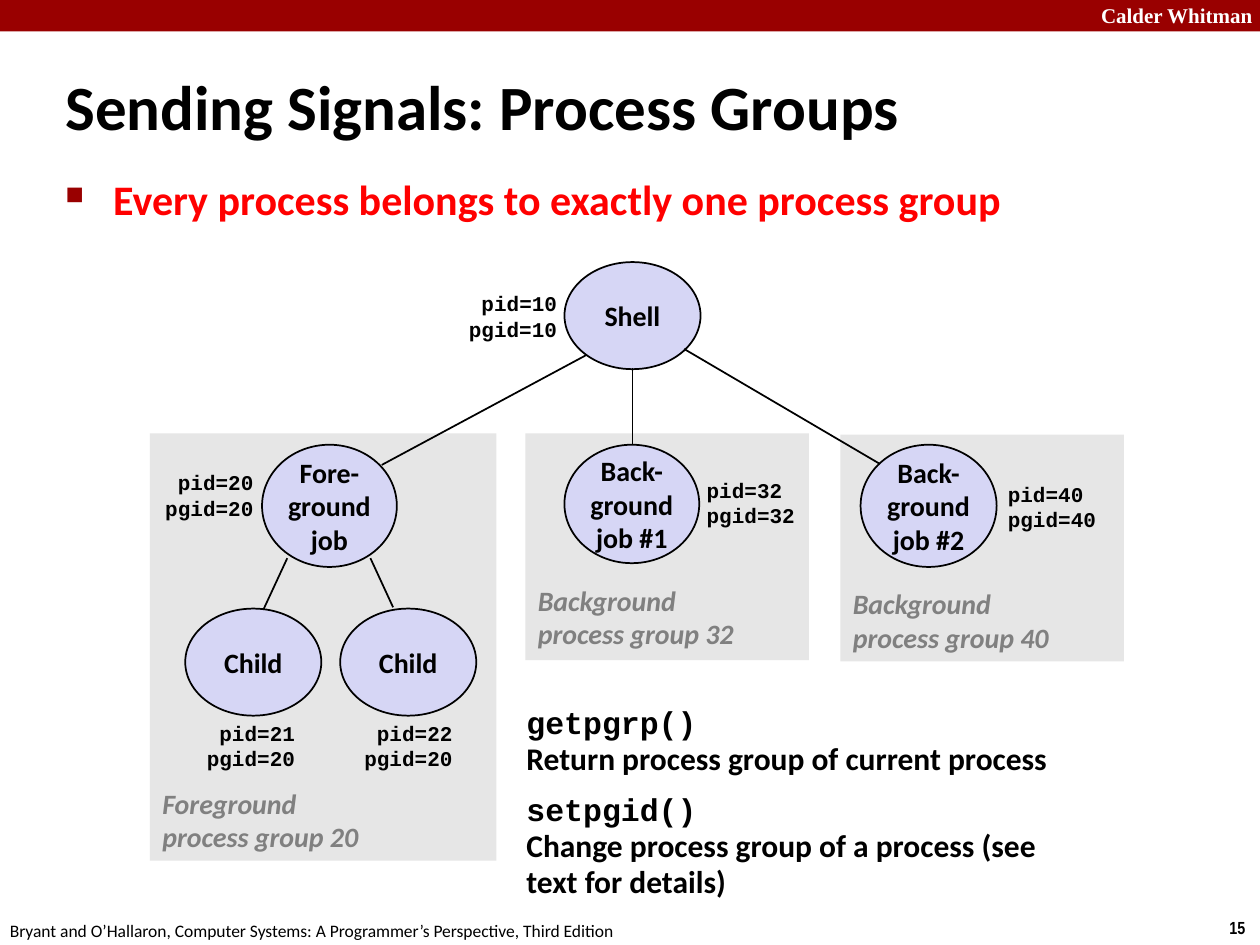
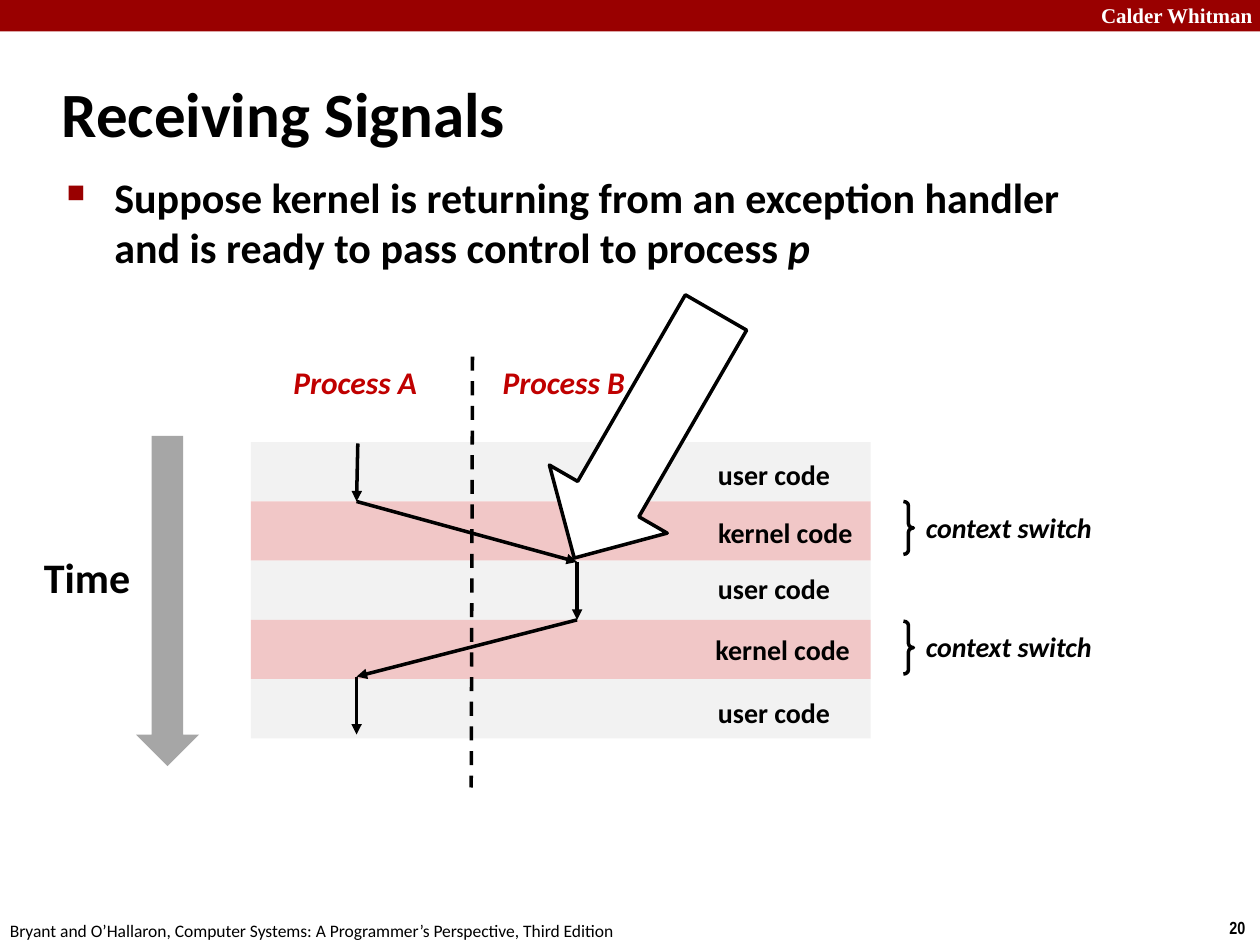
import pptx
import pptx.util
import pptx.dml.color
import pptx.enum.dml
import pptx.enum.shapes
import pptx.enum.text
import pptx.oxml
import pptx.oxml.ns

Inches = pptx.util.Inches
Pt = pptx.util.Pt
SHAPE = pptx.enum.shapes.MSO_SHAPE
ALIGN = pptx.enum.text.PP_ALIGN
MIDDLE = pptx.enum.text.MSO_ANCHOR.MIDDLE
rgb = pptx.dml.color.RGBColor.from_string
BLACK, WHITE, CRIMSON, RED = "000000", "FFFFFF", "990000", "FF0000"
GROUP_GRAY, LABEL_GRAY, LAVENDER = "E6E6E6", "808080", "D6D6F5"
USER_GRAY, KERNEL_PINK, TIME_GRAY, PROCESS_RED = "F2F2F2", "F1C7C7", "A6A6A6", "C00000"


def draw(slide, kind, box, fill=None, outline=None):
    left, top, width, height = [Inches(value) for value in box]
    if kind is None:
        return slide.shapes.add_textbox(left, top, width, height)
    shape = slide.shapes.add_shape(kind, left, top, width, height)
    shape.shadow.inherit = False
    if fill:
        shape.fill.solid()
        shape.fill.fore_color.rgb = rgb(fill)
    else:
        shape.fill.background()
    if outline:
        shape.line.color.rgb = rgb(BLACK)
        shape.line.width = Pt(outline)
    else:
        shape.line.fill.background()
    return shape


def add_lines(frame, lines, size, color=BLACK, font="Calibri", bold=True, italic=False, align=ALIGN.LEFT):
    for number, line in enumerate(lines):
        paragraph = frame.add_paragraph() if number else frame.paragraphs[0]
        paragraph.alignment = align
        run = paragraph.add_run()
        run.text = line
        run.font.size = Pt(size)
        run.font.name = font
        run.font.bold = bold
        run.font.italic = italic
        run.font.color.rgb = rgb(color)
    return paragraph


deck = pptx.Presentation()
deck.slide_width = Inches(10)
deck.slide_height = Inches(7.5)

pages = [
    ("15", "Sending Signals: Process Groups", (0.42, 0.42, 8.3, 0.83),
     "Every process belongs to exactly one process group", (0.42, 1.33, 8.44, 0.67), RED),
    ("20", "Receiving Signals", (0.39, 0.48, 8.3, 0.83),
     "Suppose kernel is returning from an exception handler and is ready to pass control to process ",
     (0.43, 1.31, 8.64, 1.19), BLACK),
]
statements = []
for page_number, heading, heading_box, statement, statement_box, statement_color in pages:
    slide = deck.slides.add_slide(deck.slide_layouts[6])
    draw(slide, SHAPE.RECTANGLE, (0, 0, 10, 0.25), CRIMSON)
    school = draw(slide, None, (8.64, -0.03, 1.43, 0.3))
    add_lines(school.text_frame, ["Calder Whitman"], 12, WHITE, "Times New Roman")
    folio = draw(slide, None, (9.66, 7.23, 0.34, 0.27))
    add_lines(folio.text_frame, [page_number], 10, font="Arial Narrow")
    credit = draw(slide, None, (-0.02, 7.25, 5.08, 0.27))
    add_lines(credit.text_frame,
              ["Bryant and O’Hallaron, Computer Systems: A Programmer’s Perspective, Third Edition"],
              10, bold=False)
    title = draw(slide, None, heading_box).text_frame
    title.word_wrap = True
    title.vertical_anchor = MIDDLE
    add_lines(title, [heading], 36)
    body = draw(slide, None, statement_box).text_frame
    body.word_wrap = True
    bullet = add_lines(body, [statement], 24, statement_color)
    bullet.space_before = Pt(2)
    properties = bullet._p.get_or_add_pPr()
    properties.set("marL", str(Inches(0.38)))
    properties.set("indent", str(-Inches(0.38)))
    namespace = pptx.oxml.ns.nsdecls("a")
    for mark in (f'<a:buClr {namespace}><a:srgbClr val="{CRIMSON}"/></a:buClr>',
                 f'<a:buSzPct {namespace} val="60000"/>',
                 f'<a:buChar {namespace} char="■"/>'):
        properties.append(pptx.oxml.parse_xml(mark))
    statements.append(bullet)

process_variable = statements[1].add_run()
process_variable.text = "p"
process_variable.font.size = Pt(24)
process_variable.font.name = "Calibri"
process_variable.font.bold = True
process_variable.font.italic = True
process_variable.font.color.rgb = rgb(BLACK)

groups_slide, signals_slide = deck.slides

for group_box in ((6.67, 3.45, 2.25, 1.8), (4.17, 3.44, 2.25, 1.8), (1.19, 3.44, 2.75, 3.39)):
    draw(groups_slide, SHAPE.RECTANGLE, group_box, GROUP_GRAY)

processes = [
    (["Fore-", "ground", "job"], (2.08, 3.53, 1.07, 0.97)),
    (["Back-", "ground", "job #1"], (4.48, 3.53, 1.07, 0.94)),
    (["Back-", "ground", "job #2"], (6.83, 3.53, 1.08, 0.97)),
    (["Shell"], (4.48, 2.08, 1.08, 0.85)),
    (["Child"], (1.47, 4.83, 1.08, 0.85)),
    (["Child"], (2.7, 4.83, 1.08, 0.85)),
]
for process_name, process_box in processes:
    process = draw(groups_slide, SHAPE.OVAL, process_box, LAVENDER, 1).text_frame
    process.word_wrap = False
    process.vertical_anchor = MIDDLE
    add_lines(process, process_name, 16, align=ALIGN.CENTER)

for band in range(5):
    draw(signals_slide, SHAPE.RECTANGLE, (1.99, 3.51 + 0.47 * band, 4.92, 0.47),
         KERNEL_PINK if band % 2 else USER_GRAY)
draw(signals_slide, SHAPE.DOWN_ARROW, (1.08, 3.46, 0.5, 2.62), TIME_GRAY)

links = [
    (groups_slide, "tree", (2.28, 4.43, 2.09, 4.84)),
    (groups_slide, "tree", (2.94, 4.43, 3.12, 4.82)),
    (groups_slide, "tree", (5.02, 2.92, 5.02, 3.53)),
    (groups_slide, "tree", (4.65, 2.82, 3.03, 3.69)),
    (groups_slide, "tree", (5.43, 2.77, 6.98, 3.68)),
    (signals_slide, "divider", (3.75, 2.83, 3.74, 6.25)),
    (signals_slide, "flow", (2.84, 3.52, 2.83, 3.98)),
    (signals_slide, "flow", (2.83, 3.98, 4.58, 4.46)),
    (signals_slide, "flow", (4.58, 4.46, 4.58, 4.92)),
    (signals_slide, "flow", (4.58, 4.92, 2.83, 5.37)),
    (signals_slide, "flow", (2.83, 5.37, 2.83, 5.83)),
]
for slide, role, ends in links:
    link = slide.shapes.add_connector(pptx.enum.shapes.MSO_CONNECTOR.STRAIGHT,
                                      *[Inches(value) for value in ends])
    link.line.color.rgb = rgb(BLACK)
    link.line.width = Pt(1 if role == "tree" else 2)
    if role == "divider":
        link.line.dash_style = pptx.enum.dml.MSO_LINE.DASH
    if role == "flow":
        link.line._get_or_add_ln().append(pptx.oxml.parse_xml(f'<a:tailEnd {namespace} type="triangle"/>'))
    link._element.spPr.append(pptx.oxml.parse_xml(f'<a:effectLst {namespace}/>'))

process_ids = [
    (10, 10, 3.61, 2.26, ALIGN.RIGHT),
    (20, 20, 1.2, 3.68, ALIGN.RIGHT),
    (32, 32, 5.51, 3.74, ALIGN.LEFT),
    (40, 40, 7.9, 3.77, ALIGN.LEFT),
    (21, 20, 1.53, 5.67, ALIGN.RIGHT),
    (22, 20, 2.78, 5.67, ALIGN.RIGHT),
]
for pid, pgid, left, top, align in process_ids:
    ids = draw(groups_slide, None, (left, top, 0.91, 0.5))
    add_lines(ids.text_frame, [f"pid={pid}", f"pgid={pgid}"], 12, font="Courier New", align=align)

for ground, group, left, top in (("Foreground", 20, 1.19, 6.19), ("Background", 32, 4.17, 4.58),
                                 ("Background", 40, 6.67, 4.61)):
    group_label = draw(groups_slide, None, (left, top, 1.78, 0.64))
    add_lines(group_label.text_frame, [ground, f"process group {group}"], 16, LABEL_GRAY, italic=True)

calls = draw(groups_slide, None, (4.08, 5.55, 4.5, 1.7)).text_frame
calls.word_wrap = True
add_lines(calls, ["getpgrp()", "setpgid()"], 18, font="Courier New")
meanings = ["Return process group of current process",
            "Change process group of a process (see text for details)"]
for call, meaning, gap in zip(calls.paragraphs, meanings, (2, 9)):
    call.line_spacing = 0.95
    call.space_before = Pt(gap)
    call.add_line_break()
    explanation = call.add_run()
    explanation.text = meaning
    explanation.font.size = Pt(18)
    explanation.font.name = "Calibri"
    explanation.font.bold = True
    explanation.font.color.rgb = rgb(BLACK)

signal_labels = [
    ("Process A", (2.23, 2.83, 1.2, 0.4), 18, PROCESS_RED, True),
    ("Process B", (3.89, 2.83, 1.19, 0.4), 18, PROCESS_RED, True),
    ("user code", (5.6, 3.58, 1.1, 0.37), 16, BLACK, False),
    ("kernel code", (5.6, 4.04, 1.28, 0.37), 16, BLACK, False),
    ("user code", (5.6, 4.49, 1.1, 0.37), 16, BLACK, False),
    ("kernel code", (5.58, 4.97, 1.28, 0.37), 16, BLACK, False),
    ("user code", (5.6, 5.47, 1.1, 0.37), 16, BLACK, False),
    ("Time", (0.25, 4.33, 0.89, 0.5), 24, BLACK, False),
]
for switch_top in (3.98, 4.93):
    brace = draw(signals_slide, SHAPE.RIGHT_BRACE, (7.17, switch_top, 0.08, 0.42), outline=2)
    brace.adjustments[0] = 0.42
    signal_labels.append(("context switch", (7.25, switch_top + 0.02, 1.54, 0.37), 16, BLACK, True))
for wording, label_box, size, color, italic in signal_labels:
    label = draw(signals_slide, None, label_box)
    add_lines(label.text_frame, [wording], size, color, italic=italic)

return_pointer = draw(signals_slide, SHAPE.DOWN_ARROW, (4.58, 2.33, 1.08, 2.25), WHITE, 2)
return_pointer.adjustments[0] = 0.52
return_pointer.rotation = 30

deck.save("out.pptx")
